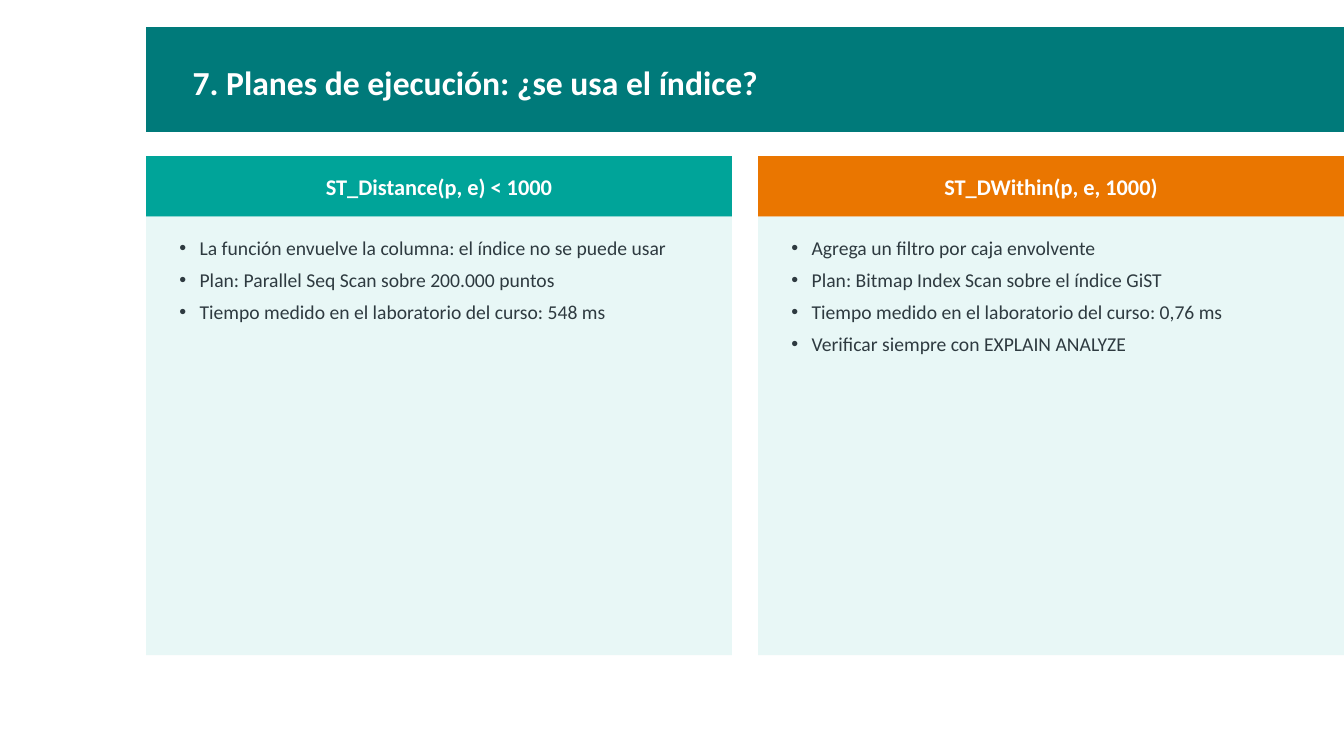
from lxml import etree
from pptx import Presentation
from pptx import util as u
from pptx.dml.color import RGBColor
from pptx.enum import shapes, text
from pptx.oxml.ns import qn

WHITE = RGBColor(0xFF, 0xFF, 0xFF)
DARK_TEAL = RGBColor(0x00, 0x7A, 0x7A)
TEAL = RGBColor(0x00, 0xA4, 0x99)
ORANGE = RGBColor(0xEA, 0x76, 0x00)
PALE_TEAL = RGBColor(0xE8, 0xF7, 0xF6)
SLATE = RGBColor(0x2E, 0x3A, 0x40)

SLIDE_WIDTH, SLIDE_HEIGHT = 13.33, 7.5
MARGIN, GUTTER = 1.45, 0.26
CONTENT_WIDTH = SLIDE_WIDTH - MARGIN
COLUMN_WIDTH = (CONTENT_WIDTH - GUTTER) / 2
HEADING_TOP, HEADING_HEIGHT = 1.55, 0.6
BODY_TOP, BODY_HEIGHT = HEADING_TOP + HEADING_HEIGHT, 4.35

columns = [
    ("ST_Distance(p, e) < 1000", TEAL, [
        "La función envuelve la columna: el índice no se puede usar",
        "Plan: Parallel Seq Scan sobre 200.000 puntos",
        "Tiempo medido en el laboratorio del curso: 548 ms",
    ]),
    ("ST_DWithin(p, e, 1000)", ORANGE, [
        "Agrega un filtro por caja envolvente",
        "Plan: Bitmap Index Scan sobre el índice GiST",
        "Tiempo medido en el laboratorio del curso: 0,76 ms",
        "Verificar siempre con EXPLAIN ANALYZE",
    ]),
]

deck = Presentation()
deck.slide_width, deck.slide_height = u.Inches(SLIDE_WIDTH), u.Inches(SLIDE_HEIGHT)
slide = deck.slides.add_slide(deck.slide_layouts.get_by_name("Comparison"))


def add_panel(left, top, width, height, color):
    panel = slide.shapes.add_shape(
        shapes.MSO_SHAPE.RECTANGLE, *map(u.Inches, (left, top, width, height)))
    panel.shadow.inherit = False
    panel.fill.solid()
    panel.fill.fore_color.rgb = color
    panel.line.fill.background()


def write(index, box, lines, *, size, color=WHITE, bold=False, bullets=False,
          align=text.PP_ALIGN.LEFT, anchor=text.MSO_ANCHOR.MIDDLE):
    """Place a placeholder above the panels drawn so far and fill it with lines."""
    holder = slide.placeholders[index]
    holder.left, holder.top, holder.width, holder.height = map(u.Inches, box)
    holder.element.getparent().append(holder.element)
    frame = holder.text_frame
    frame.text = "\n".join(lines)
    frame.word_wrap = True
    frame.auto_size = text.MSO_AUTO_SIZE.SHAPE_TO_FIT_TEXT
    frame.vertical_anchor = anchor
    frame.margin_left = frame.margin_right = u.Inches(0.08)
    frame.margin_top = frame.margin_bottom = u.Inches(0.04)
    for paragraph in frame.paragraphs:
        if bullets:
            properties = paragraph._p.get_or_add_pPr()
            properties.set("marL", str(u.Inches(0.25)))
            properties.set("indent", str(u.Inches(-0.2)))
            etree.SubElement(properties, qn("a:buChar"), char="•")
        paragraph.alignment = align
        paragraph.space_before, paragraph.space_after = u.Pt(0), u.Pt(6)
        font = paragraph.font
        font.name, font.size, font.bold = "Calibri", u.Pt(size), bold
        font.color.rgb = color


add_panel(MARGIN, 0.27, CONTENT_WIDTH, 1.04, DARK_TEAL)
write(0, (1.83, 0.38, 10.9, 0.87), ["7. Planes de ejecución: ¿se usa el índice?"],
      size=24, bold=True)

for number, (heading, heading_color, points) in enumerate(columns):
    left = MARGIN + number * (COLUMN_WIDTH + GUTTER)
    heading_box = (left, HEADING_TOP, COLUMN_WIDTH, HEADING_HEIGHT)
    add_panel(*heading_box, heading_color)
    write(1 + 2 * number, heading_box, [heading], size=16, bold=True,
          align=text.PP_ALIGN.CENTER)
    add_panel(left, BODY_TOP, COLUMN_WIDTH, BODY_HEIGHT, PALE_TEAL)
    write(2 + 2 * number, (left + 0.2, BODY_TOP + 0.15, 5.4, 4.1), points, size=14,
          color=SLATE, bullets=True, anchor=text.MSO_ANCHOR.TOP)

deck.save("out.pptx")
